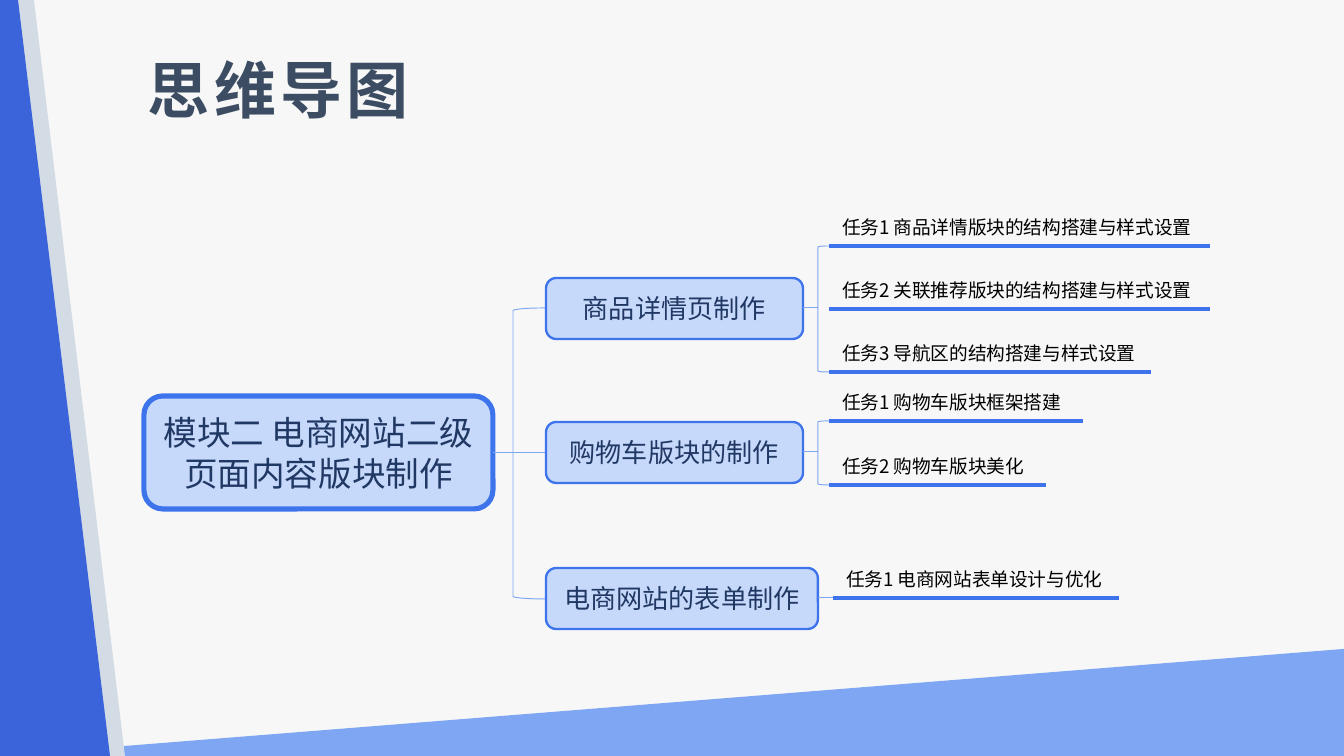
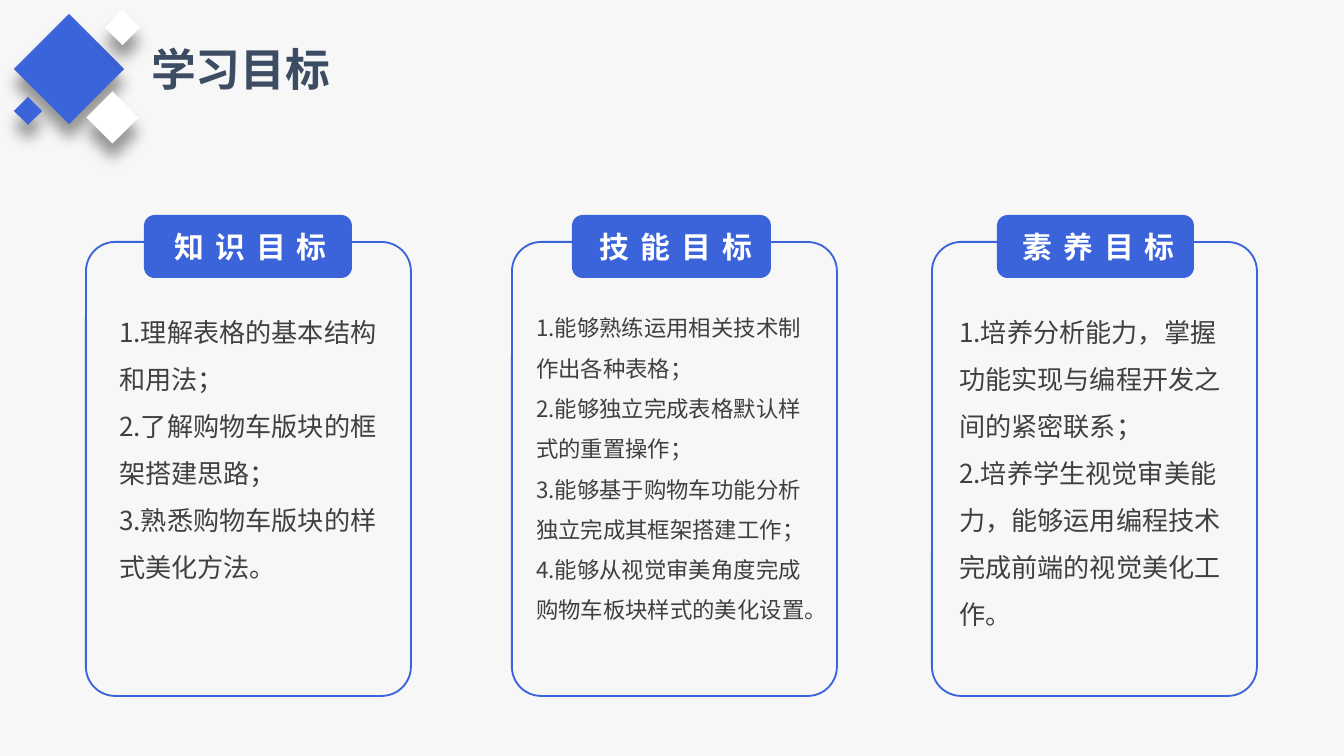
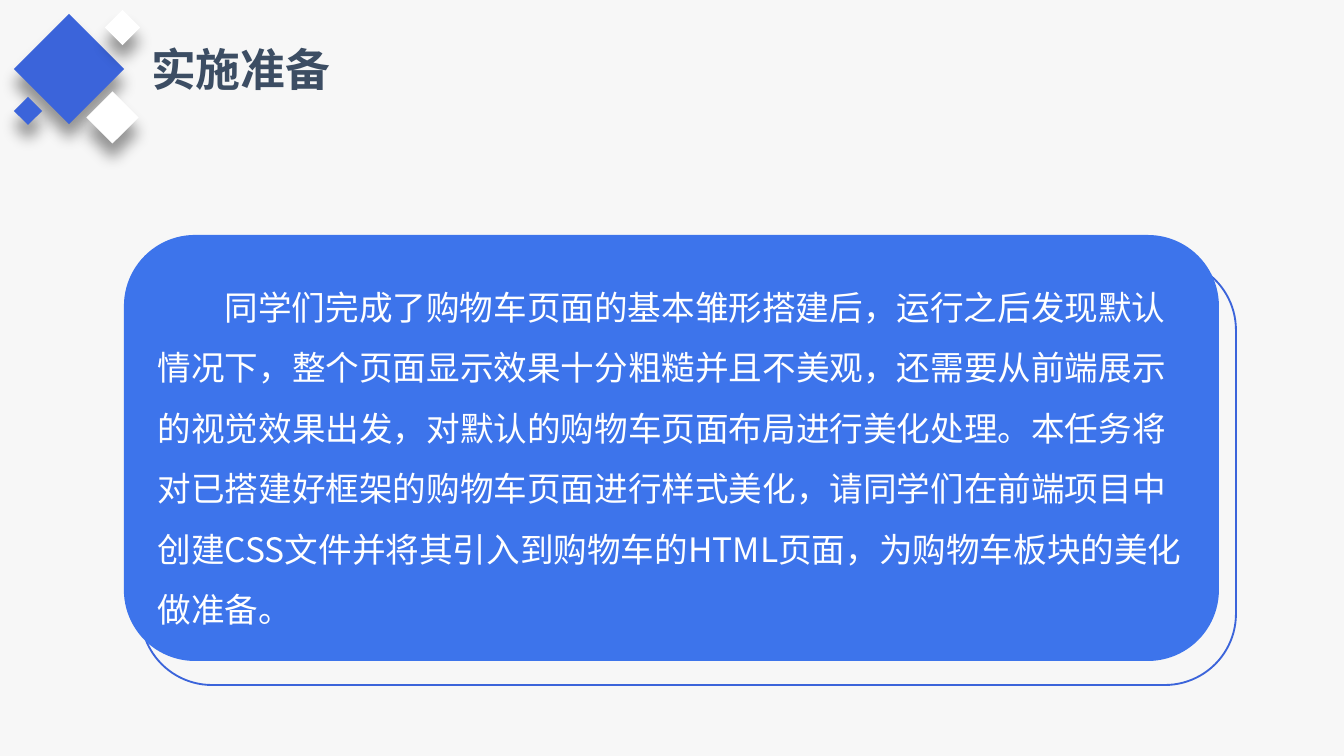
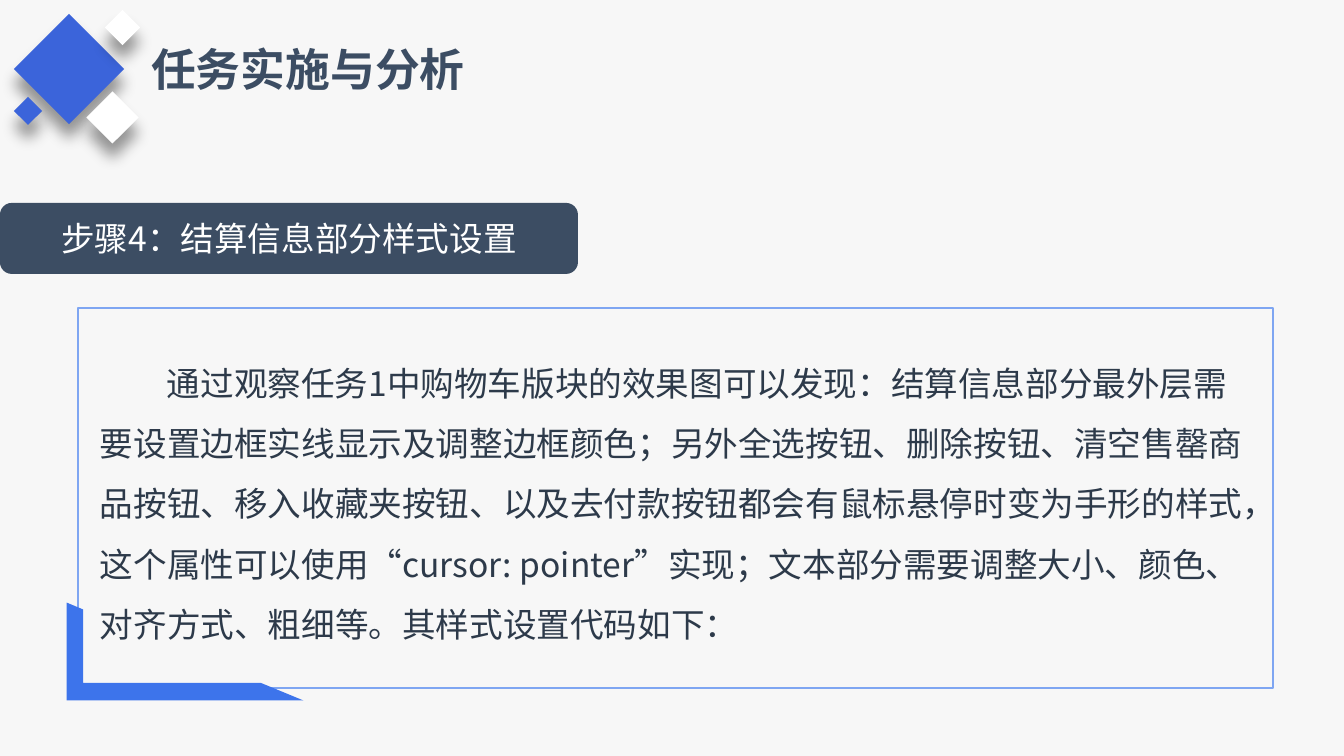
from lxml import etree
from pptx import Presentation
from pptx.dml.color import RGBColor
from pptx.enum.shapes import MSO_CONNECTOR, MSO_SHAPE
from pptx.enum.text import MSO_ANCHOR, MSO_AUTO_SIZE, PP_ALIGN
from pptx.oxml.ns import qn
from pptx.util import Emu, Pt

RECT = MSO_SHAPE.RECTANGLE
ROUND = MSO_SHAPE.ROUNDED_RECTANGLE
BRACKET = MSO_SHAPE.LEFT_BRACKET
WEDGE = MSO_SHAPE.RIGHT_TRIANGLE
CORNER = MSO_SHAPE.HALF_FRAME
LINE = MSO_CONNECTOR.STRAIGHT
LEFT = PP_ALIGN.LEFT
CENTER = PP_ALIGN.CENTER
TOP = MSO_ANCHOR.TOP
MIDDLE = MSO_ANCHOR.MIDDLE
FIXED = MSO_AUTO_SIZE.NONE

SCALE = 914400 / 134.4
FONT = "Noto Sans CJK SC"
COLORS = {
    "back": "F7F7F7",
    "blue": "3B64DA",
    "bright": "3D74EB",
    "sky": "7FA6F2",
    "pale": "C7D9FA",
    "mist": "D3DBE5",
    "slate": "3C4D63",
    "navy": "203864",
    "ink": "2D3A4A",
    "gray": "404040",
    "black": "000000",
    "white": "FFFFFF",
}
PAD = (13, 7, 13, 7)

BRANCHES = [
    ("商品详情页制作", 278, 257, [
        ("任务1 商品详情版块的结构搭建与样式设置", 246, 1210),
        ("任务2 关联推荐版块的结构搭建与样式设置", 309, 1210),
        ("任务3 导航区的结构搭建与样式设置", 372, 1151),
    ]),
    ("购物车版块的制作", 422, 257, [
        ("任务1 购物车版块框架搭建", 421, 1083),
        ("任务2 购物车版块美化", 485, 1046),
    ]),
    ("电商网站的表单制作", 568, 272, [
        ("任务1 电商网站表单设计与优化", 598, 1119),
    ]),
]

GOALS = [
    ("知识目标", 86, (144, 208), (151, 199), (106, 306), 14, [
        "1.理解表格的基本结构和用法；",
        "2.了解购物车版块的框架搭建思路；",
        "3.熟悉购物车版块的样式美化方法。",
    ]),
    ("技能目标", 512, (572, 199), (579, 194), (523, 308), 12, [
        "1.能够熟练运用相关技术制作出各种表格；",
        "2.能够独立完成表格默认样式的重置操作；",
        "3.能够基于购物车功能分析独立完成其框架搭建工作；",
        "4.能够从视觉审美角度完成购物车板块样式的美化设置。",
    ]),
    ("素养目标", 932, (997, 197), (999, 199), (946, 304), 14, [
        "1.培养分析能力，掌握功能实现与编程开发之间的紧密联系；",
        "2.培养学生视觉审美能力，能够运用编程技术完成前端的视觉美化工作。",
    ]),
]

PREP = (
    "同学们完成了购物车页面的基本雏形搭建后，运行之后发现默认情况下，"
    "整个页面显示效果十分粗糙并且不美观，还需要从前端展示的视觉效果出发，"
    "对默认的购物车页面布局进行美化处理。本任务将对已搭建好框架的购物车页面"
    "进行样式美化，请同学们在前端项目中创建CSS文件并将其引入到购物车的HTML页面，"
    "为购物车板块的美化做准备。"
)
STEP = (
    "通过观察任务1中购物车版块的效果图可以发现：结算信息部分最外层需要设置边框"
    "实线显示及调整边框颜色；另外全选按钮、删除按钮、清空售罄商品按钮、移入收藏夹按钮、"
    "以及去付款按钮都会有鼠标悬停时变为手形的样式，这个属性可以使用“cursor: pointer”实现；"
    "文本部分需要调整大小、颜色、对齐方式、粗细等。其样式设置代码如下："
)


def px(size):
    return Emu(round(size * SCALE))


def color(name):
    return RGBColor.from_string(COLORS[name])


def write(shape, text, size, tint, bold=False, align=LEFT, anchor=MIDDLE,
          space=1.0, indent=0, track=0, pad=PAD, wrap=True):
    frame = shape.text_frame
    frame.text = text
    frame.auto_size = FIXED
    frame.word_wrap = wrap
    frame.vertical_anchor = anchor
    frame.margin_left, frame.margin_top, frame.margin_right, frame.margin_bottom = map(px, pad)
    for para in frame.paragraphs:
        para.alignment = align
        para.line_spacing = space
        if indent:
            props = para._p.get_or_add_pPr()
            props.set("marL", "0")
            props.set("indent", str(px(indent)))
        for run in para.runs:
            run.font.size = Pt(size)
            run.font.bold = bold
            run.font.color.rgb = color(tint)
            run.font.name = FONT
            props = run._r.get_or_add_rPr()
            etree.SubElement(props, qn("a:ea")).set("typeface", FONT)
            if track:
                props.set("spc", str(round(track * 100)))


def paint(shape, fill=None, line=None, width=1):
    shape.shadow.inherit = False
    if fill:
        shape.fill.solid()
        shape.fill.fore_color.rgb = color(fill)
    else:
        shape.fill.background()
    if line:
        shape.line.color.rgb = color(line)
        shape.line.width = Pt(width)
    else:
        shape.line.fill.background()
    return shape


def draw(shapes, kind, area, fill=None, line=None, width=1, adjust=()):
    shape = shapes.add_shape(kind, *map(px, area))
    for spot, value in enumerate(adjust):
        shape.adjustments[spot] = value
    return paint(shape, fill, line, width)


def label(shapes, area, text, size, tint, **style):
    write(shapes.add_textbox(*map(px, area)), text, size, tint, anchor=TOP, **style)


def rule(shapes, left, right, y, tint, width):
    line = shapes.add_connector(LINE, px(left), px(y), px(right), px(y))
    line.line.color.rgb = color(tint)
    line.line.width = Pt(width)
    etree.SubElement(line._element.spPr, qn("a:effectLst"))


def band(shapes, points, fill):
    path = shapes.build_freeform(*points[0], scale=SCALE)
    path.add_line_segments(points[1:], close=True)
    paint(path.convert_to_shape(), fill)


def cast(shape):
    effects = shape._element.spPr.find(qn("a:effectLst"))
    shadow = etree.SubElement(effects, qn("a:outerShdw"), blurRad=str(Pt(8)),
                              dist=str(Pt(8)), dir="5400000", rotWithShape="0")
    tint = etree.SubElement(shadow, qn("a:srgbClr"), val=COLORS["black"])
    etree.SubElement(tint, qn("a:alpha"), val="40000")


def title(slide, area, text, size, **style):
    shape = slide.shapes.title
    shape.left, shape.top, shape.width, shape.height = map(px, area)
    write(shape, text, size, "slate", bold=True, **style)


def start(deck):
    return deck.slides.add_slide(deck.slide_layouts[5])


def topic(deck, text):
    slide = start(deck)
    title(slide, (138, 35, 45 * len(text) + 27, 67), text, 24, anchor=TOP, wrap=False)
    for x, y, side, fill in [(30, 30, 78, "blue"), (94, 99, 37, "white"),
                             (110, 15, 25, "white"), (18, 101, 20, "blue")]:
        gem = draw(slide.shapes, RECT, (x, y, side, side), fill)
        gem.rotation = 45
        cast(gem)
    return slide


def node(shapes, area, text, size, width):
    box = draw(shapes, ROUND, area, "pale", "bright", width)
    write(box, text, size, "navy", align=CENTER)


def branch(shapes, text, top, width, tasks):
    left, height = 546, 61
    node(shapes, (left, top, width, height), text, 14, 1.25)
    knee = left + width + 15
    rule(shapes, left + width, knee, top + height // 2, "sky", 0.5)
    begin = knee
    if len(tasks) > 1:
        begin = knee + 11
        first, last = tasks[0][1], tasks[-1][1]
        draw(shapes, BRACKET, (knee, first, 11, last - first), line="sky", width=0.5)
    for name, y, end in tasks:
        rule(shapes, begin, end, y, "bright", 2)
        label(shapes, (begin, y - 37, 410, 36), name, 10, "black")


def mindmap(deck):
    slide = start(deck)
    shapes = slide.shapes
    wedge = draw(shapes, WEDGE, (0, 649, 1344, 107), "sky")
    wedge._element.spPr.xfrm.set("flipH", "1")
    band(shapes, [(16, 0), (34, 0), (125, 756), (16, 756)], "mist")
    band(shapes, [(0, 0), (18, 0), (110, 756), (0, 756)], "blue")
    title(slide, (141, 54, 278, 78), "思维导图", 33.2, space=0.9, track=2.2,
          pad=(7, 3, 7, 3))
    tree = shapes.add_group_shape().shapes
    node(tree, (144, 396, 349, 113), "模块二 电商网站二级页面内容版块制作", 18, 2.75)
    draw(tree, BRACKET, (513, 308, 32, 291), line="sky", width=0.5)
    rule(tree, 493, 546, 453, "sky", 0.5)
    for item in BRANCHES:
        branch(tree, *item)


def goals(deck):
    slide = topic(deck, "学习目标")
    for name, left, tab, head, body, size, points in GOALS:
        card = slide.shapes.add_group_shape().shapes
        draw(card, ROUND, (left, 242, 325, 454), line="blue", adjust=[0.09])
        label(card, (body[0], 294, body[1], 380), "\n".join(points), size, "gray", space=1.5)
        draw(card, ROUND, (tab[0], 215, tab[1], 63), "blue", adjust=[0.17])
        label(card, (head[0], 222, head[1], 50), name, 16, "white", bold=True,
              align=CENTER, track=6)


def prepare(deck):
    shapes = topic(deck, "实施准备").shapes
    draw(shapes, ROUND, (141, 259, 1095, 426), line="blue")
    panel = draw(shapes, ROUND, (124, 235, 1095, 426), "bright")
    write(panel, PREP, 18, "white", space=1.5, indent=67)


def analyse(deck):
    shapes = topic(deck, "任务实施与分析").shapes
    tab = draw(shapes, ROUND, (0, 203, 578, 71), "slate")
    write(tab, "步骤4：结算信息部分样式设置", 18, "white", align=CENTER)
    panel = draw(shapes, RECT, (78, 308, 1195, 380), line="sky")
    write(panel, STEP, 18, "ink", space=1.5, indent=67, pad=(22, 7, 13, 16))
    corner = draw(shapes, CORNER, (136, 533, 98, 237), "bright", adjust=[0.17, 0.18])
    corner.rotation = 270


def main():
    deck = Presentation()
    deck.slide_width, deck.slide_height = px(1344), px(756)
    back = deck.slide_master.background.fill
    back.solid()
    back.fore_color.rgb = color("back")
    mindmap(deck)
    goals(deck)
    prepare(deck)
    analyse(deck)
    deck.save("out.pptx")


main()
